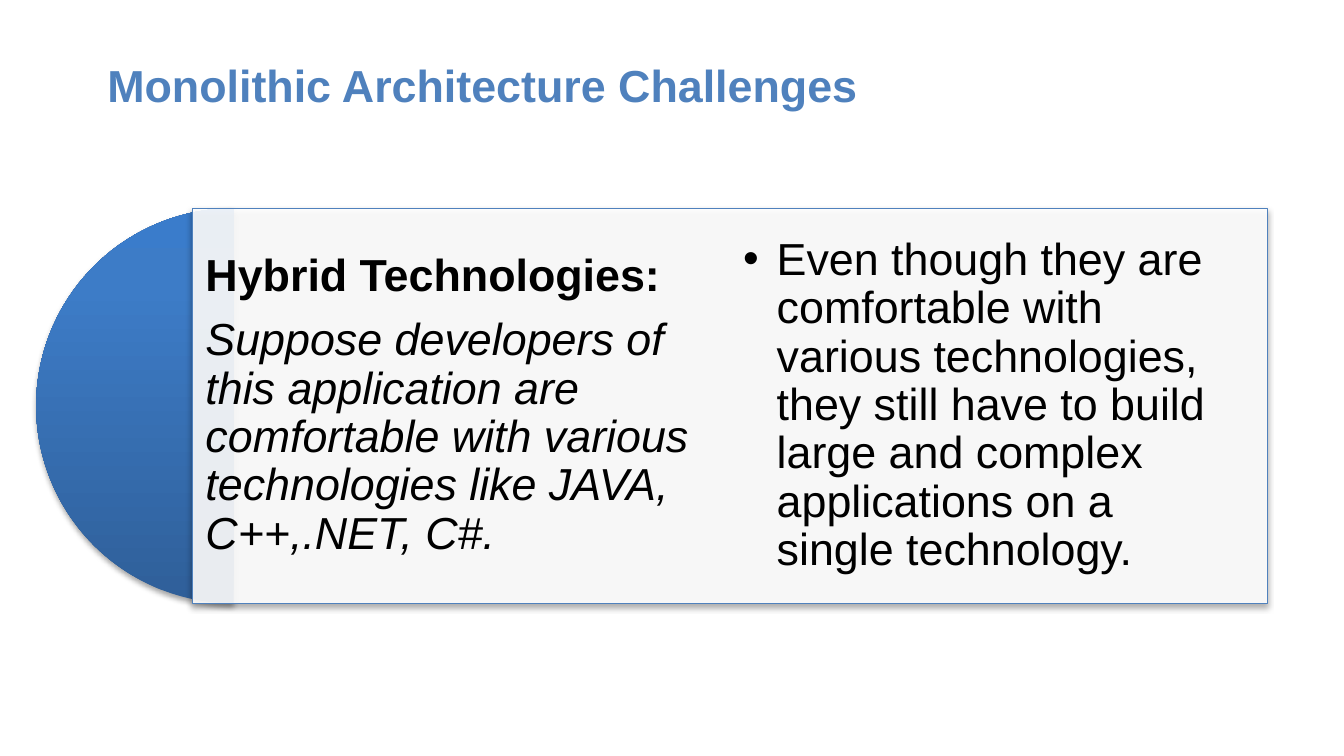
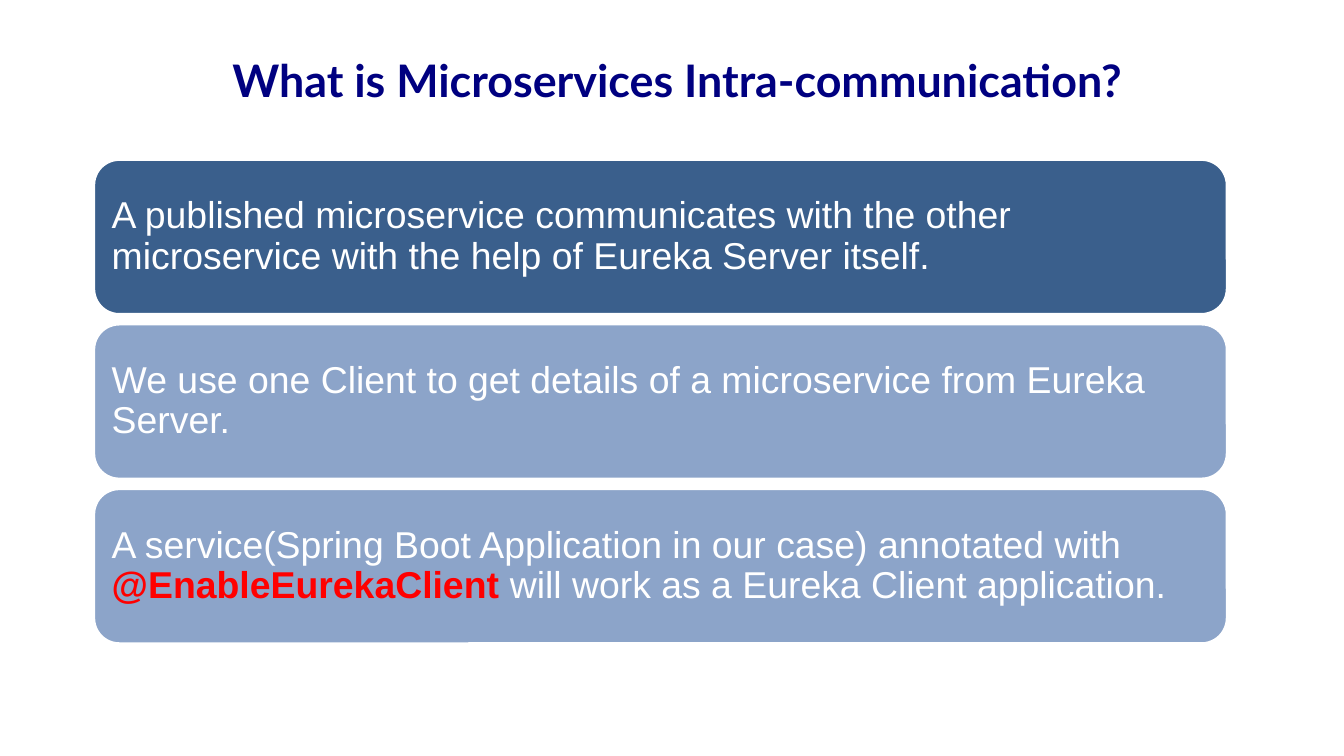
from dataclasses import dataclass

from lxml.etree import SubElement
from pptx import Presentation
from pptx.dml.color import RGBColor
from pptx.enum.shapes import MSO_SHAPE
from pptx.enum.text import MSO_ANCHOR, MSO_AUTO_SIZE, PP_ALIGN
from pptx.oxml.ns import qn
from pptx.util import Pt


# Theme: colours, fonts and type sizes
@dataclass(frozen=True)
class Theme:
    blue: str = "4F81BD"
    navy: str = "000080"
    card_dark: str = "3A5F8C"
    card_light: str = "8CA4C9"
    black: str = "000000"
    white: str = "FFFFFF"
    red: str = "FF0000"
    pie_stops: tuple = ((0, "2F5F99"), (80, "3D7CC7"), (100, "3A7CCB"))
    body_font: str = "Arial"
    title_font: str = "Lato"
    large: int = 24
    small: int = 20


def rgb(color):
    return RGBColor.from_string(color)


class Deck:
    """Holds the theme and the slide being built."""

    def __init__(self, theme):
        self.theme = theme
        self.prs = Presentation()
        self.prs.slide_width, self.prs.slide_height = Pt(720), Pt(405)
        self.slide = None

    def new_slide(self):
        self.slide = self.prs.slides.add_slide(self.prs.slide_layouts[6])

    def shape(self, kind, box, fill=None, line=None, weight=0.75):
        sp = self.slide.shapes.add_shape(kind, *map(Pt, box))
        sp.shadow.inherit = False
        if fill:
            sp.fill.solid()
            sp.fill.fore_color.rgb = rgb(fill)
        if line:
            sp.line.color.rgb = rgb(line)
            sp.line.width = Pt(weight)
        else:
            sp.line.fill.background()
        return sp

    def gradient(self, sp, stops):
        """Fill from bottom to top."""
        sp.fill.gradient()
        sp.fill.gradient_angle = 90
        gs_lst = sp._element.spPr.find(".//" + qn("a:gsLst"))
        gs_lst.clear()
        for pos, color in stops:
            gs = SubElement(gs_lst, qn("a:gs"), pos=str(pos * 1000))
            SubElement(gs, qn("a:srgbClr"), val=color)

    def opacity(self, sp, percent):
        clr = sp._element.spPr.find(qn("a:solidFill"))[0]
        SubElement(clr, qn("a:alpha"), val=str(percent * 1000))

    def drop_shadow(self, sp):
        effects = sp._element.spPr.find(qn("a:effectLst"))
        shadow = SubElement(effects, qn("a:outerShdw"), blurRad=str(Pt(3.1)),
                            dist=str(Pt(1.8)), dir="5400000", rotWithShape="0")
        clr = SubElement(shadow, qn("a:srgbClr"), val=self.theme.black)
        SubElement(clr, qn("a:alpha"), val="35000")

    def text_box(self, box):
        return self.slide.shapes.add_textbox(*map(Pt, box)).text_frame

    def frame(self, tf, margin):
        tf.word_wrap = True
        tf.vertical_anchor = MSO_ANCHOR.MIDDLE
        tf.margin_left = tf.margin_right = Pt(margin)
        tf.margin_top = tf.margin_bottom = Pt(margin)

    def bullet(self, p):
        p.level = 1
        pPr = p._p.get_or_add_pPr()
        pPr.set("marL", str(Pt(18)))
        pPr.set("indent", str(-Pt(18)))
        SubElement(pPr, qn("a:buFont"), typeface=self.theme.body_font)
        SubElement(pPr, qn("a:buChar"), char="•")

    def run(self, p, text, size, color, bold=False, italic=False, font=None):
        r = p.add_run()
        r.text = text
        r.font.name = font or self.theme.body_font
        r.font.size = Pt(size)
        r.font.bold, r.font.italic = bold, italic
        r.font.color.rgb = rgb(color)

    def spacing(self, p, after):
        p.alignment = PP_ALIGN.LEFT
        p.line_spacing = 0.9
        p.space_after = Pt(after)

    def title(self, text, box, color, font):
        tf = self.text_box(box)
        tf.word_wrap = True
        tf.auto_size = MSO_AUTO_SIZE.SHAPE_TO_FIT_TEXT
        self.run(tf.paragraphs[0], text, self.theme.large, color, bold=True, font=font)

    def card(self, box, fill, runs):
        """Rounded card; runs are (text, colour, bold)."""
        sp = self.shape(MSO_SHAPE.ROUNDED_RECTANGLE, box, fill, self.theme.white, 2)
        self.frame(sp.text_frame, 5.8)
        p = sp.text_frame.paragraphs[0]
        self.spacing(p, 7)
        for text, color, bold in runs:
            self.run(p, text, self.theme.small, color, bold)


def challenges(deck):
    t = deck.theme
    deck.new_slide()
    top, height, left = 111.6, 211.7, 103

    # Half disc behind the panel
    pie = deck.shape(MSO_SHAPE.PIE, (19.4, top, height, height))
    pie.adjustments[0], pie.adjustments[1] = 54, 162
    deck.gradient(pie, t.pie_stops)
    deck.drop_shadow(pie)

    # Panel
    panel = deck.shape(MSO_SHAPE.RECTANGLE, (left, top, 576, height), t.white, t.blue)
    deck.opacity(panel, 90)
    deck.drop_shadow(panel)

    # Left column: heading and statement
    tf = deck.text_box((left, top, 288, height))
    deck.frame(tf, 7.2)
    heading, statement = tf.paragraphs[0], tf.add_paragraph()
    for p in (heading, statement):
        deck.spacing(p, 8.4)
    deck.run(heading, "Hybrid Technologies:", t.large, t.black, bold=True)
    deck.run(statement, "Suppose developers of this application are comfortable with "
             "various technologies like JAVA, C++,.NET, C#.", t.large, t.black, italic=True)

    # Right column: bullet
    tf = deck.text_box((left + 288, top, 265.7, height))
    deck.frame(tf, 7.2)
    p = tf.paragraphs[0]
    deck.bullet(p)
    deck.spacing(p, 3.6)
    deck.run(p, "Even though they are comfortable with various technologies, they still "
             "have to build large and complex applications on a single technology.",
             t.large, t.black)

    deck.title("Monolithic Architecture Challenges", (50.4, 27.4, 588, 36),
               t.blue, t.body_font)


def intra_communication(deck):
    t = deck.theme
    deck.new_slide()
    deck.title("What is Microservices Intra-communication?", (117.4, 24.5, 507, 36),
               t.navy, t.title_font)

    # Stack of cards at an even pitch
    cards = (
        (t.card_dark, [("A published microservice communicates with the other microservice "
                        "with the help of Eureka Server itself.", t.white, False)]),
        (t.card_light, [("We use one Client to get details of a microservice from "
                         "Eureka Server.", t.white, False)]),
        (t.card_light, [("A service(Spring Boot Application in our case) annotated with ",
                         t.white, False),
                        ("@EnableEurekaClient ", t.red, True),
                        ("will work as a Eureka Client application.", t.white, False)]),
    )
    for i, (fill, runs) in enumerate(cards):
        deck.card((50, 85.2 + i * 88.2, 607.7, 83.5), fill, runs)


def main():
    deck = Deck(Theme())
    challenges(deck)
    intra_communication(deck)
    deck.prs.save("out.pptx")


if __name__ == "__main__":
    main()
